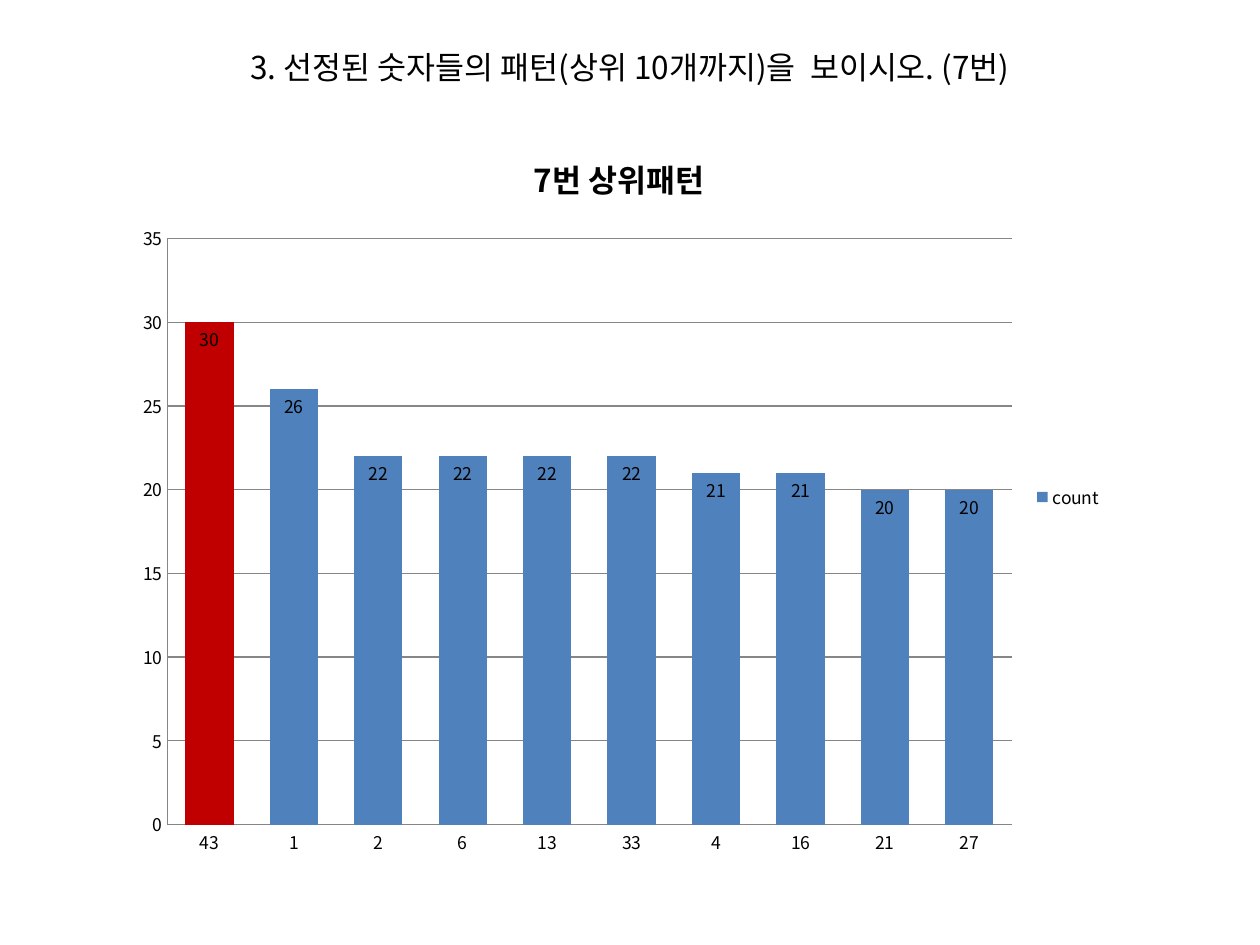
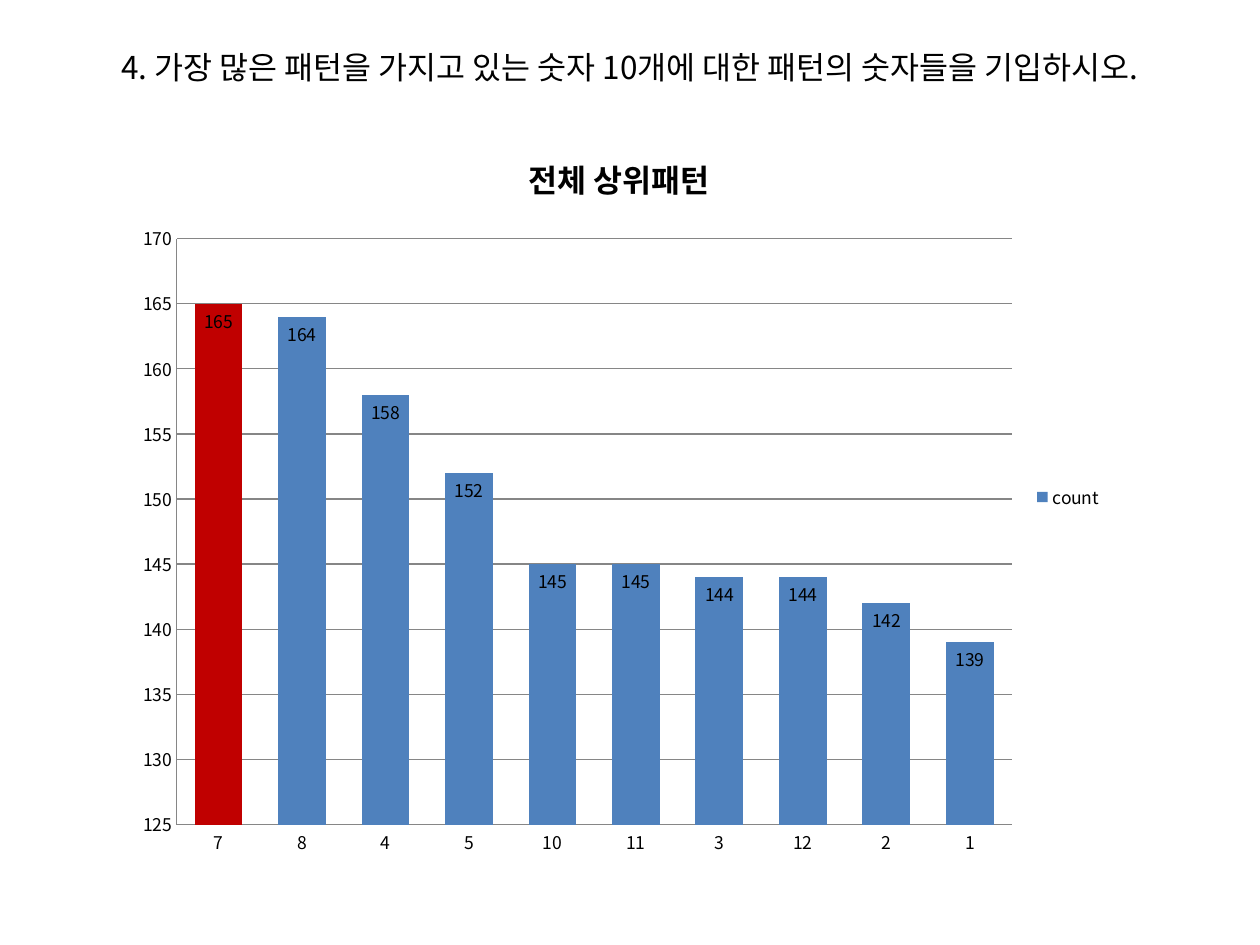
from lxml import etree
from pptx import Presentation
from pptx.chart.data import CategoryChartData
from pptx.dml.color import RGBColor
from pptx.enum.chart import XL_CHART_TYPE, XL_LABEL_POSITION, XL_LEGEND_POSITION, XL_TICK_MARK
from pptx.enum.text import MSO_ANCHOR, MSO_AUTO_SIZE, PP_ALIGN
from pptx.oxml.ns import qn
from pptx.util import Inches, Pt

COLUMNS = XL_CHART_TYPE.COLUMN_CLUSTERED
INSIDE_END = XL_LABEL_POSITION.INSIDE_END
RIGHT = XL_LEGEND_POSITION.RIGHT
NO_TICK = XL_TICK_MARK.NONE
TOP = MSO_ANCHOR.TOP
GROW = MSO_AUTO_SIZE.SHAPE_TO_FIT_TEXT
CENTER = PP_ALIGN.CENTER

FONT = "Noto Sans CJK KR"
BLACK, BLUE, RED, GRAY = "000000", "4F81BD", "C00000", "868686"
TITLE_ONLY = 5


def color(value):
    return RGBColor.from_string(value)


def style_font(font, size, bold=False):
    font.name = FONT
    font.size = Pt(size)
    font.bold = bold
    font.color.rgb = color(BLACK)
    # Korean text takes its typeface from the East Asian slot
    latin = font._element.find(qn("a:latin"))
    east_asian = etree.Element(qn("a:ea"), typeface=FONT)
    latin.addnext(east_asian)


# Question, chart title, axis range, categories, counts
pages = [
    ("3. 선정된 숫자들의 패턴(상위 10개까지)을  보이시오. (7번)",
     "7번 상위패턴", (0, 35),
     [43, 1, 2, 6, 13, 33, 4, 16, 21, 27],
     [30, 26, 22, 22, 22, 22, 21, 21, 20, 20]),
    ("4. 가장 많은 패턴을 가지고 있는 숫자 10개에 대한 패턴의 숫자들을 기입하시오.",
     "전체 상위패턴", (125, 170),
     [7, 8, 4, 5, 10, 11, 3, 12, 2, 1],
     [165, 164, 158, 152, 145, 145, 144, 144, 142, 139]),
]

deck = Presentation()
deck.slide_width, deck.slide_height = Inches(10), Inches(7.5)

for question, chart_title, (lowest, highest), numbers, counts in pages:
    page = deck.slides.add_slide(deck.slide_layouts[TITLE_ONLY])

    # Question
    box = page.shapes.title
    box.left, box.top, box.width, box.height = Inches(0), Inches(0.33), Inches(10), Inches(0.4)
    box.text_frame.auto_size = GROW
    box.text_frame.vertical_anchor = TOP
    para = box.text_frame.paragraphs[0]
    para.alignment = CENTER
    span = para.add_run()
    span.text = question
    style_font(span.font, 18)

    # Column chart
    data = CategoryChartData()
    data.categories = [str(number) for number in numbers]
    data.add_series("count", counts)
    chart = page.shapes.add_chart(
        COLUMNS, Inches(0.98), Inches(0.99), Inches(7.87), Inches(5.91), data).chart
    style_font(chart.font, 10)
    chart.has_title = True
    heading = chart.chart_title.text_frame.paragraphs[0].add_run()
    heading.text = chart_title
    style_font(heading.font, 18, bold=True)
    chart.has_legend = True
    chart.legend.position = RIGHT
    chart.legend.include_in_layout = False

    # Columns, the highest one in red
    plot = chart.plots[0]
    plot.gap_width, plot.overlap = 75, 40
    plot.vary_by_categories = False
    series = plot.series[0]
    for part, fill_color in ((series, BLUE), (series.points[0], RED)):
        part.format.fill.solid()
        part.format.fill.fore_color.rgb = color(fill_color)
    labels = series.data_labels
    labels.show_value = True
    labels.position = INSIDE_END

    # Axes
    scale = chart.value_axis
    scale.minimum_scale, scale.maximum_scale, scale.major_unit = lowest, highest, 5
    scale.has_major_gridlines = True
    for axis in (chart.category_axis, scale):
        axis.major_tick_mark = axis.minor_tick_mark = NO_TICK
    for ruled in (chart.category_axis, scale, scale.major_gridlines):
        ruled.format.line.color.rgb = color(GRAY)
        ruled.format.line.width = Pt(0.75)

deck.save("out.pptx")
